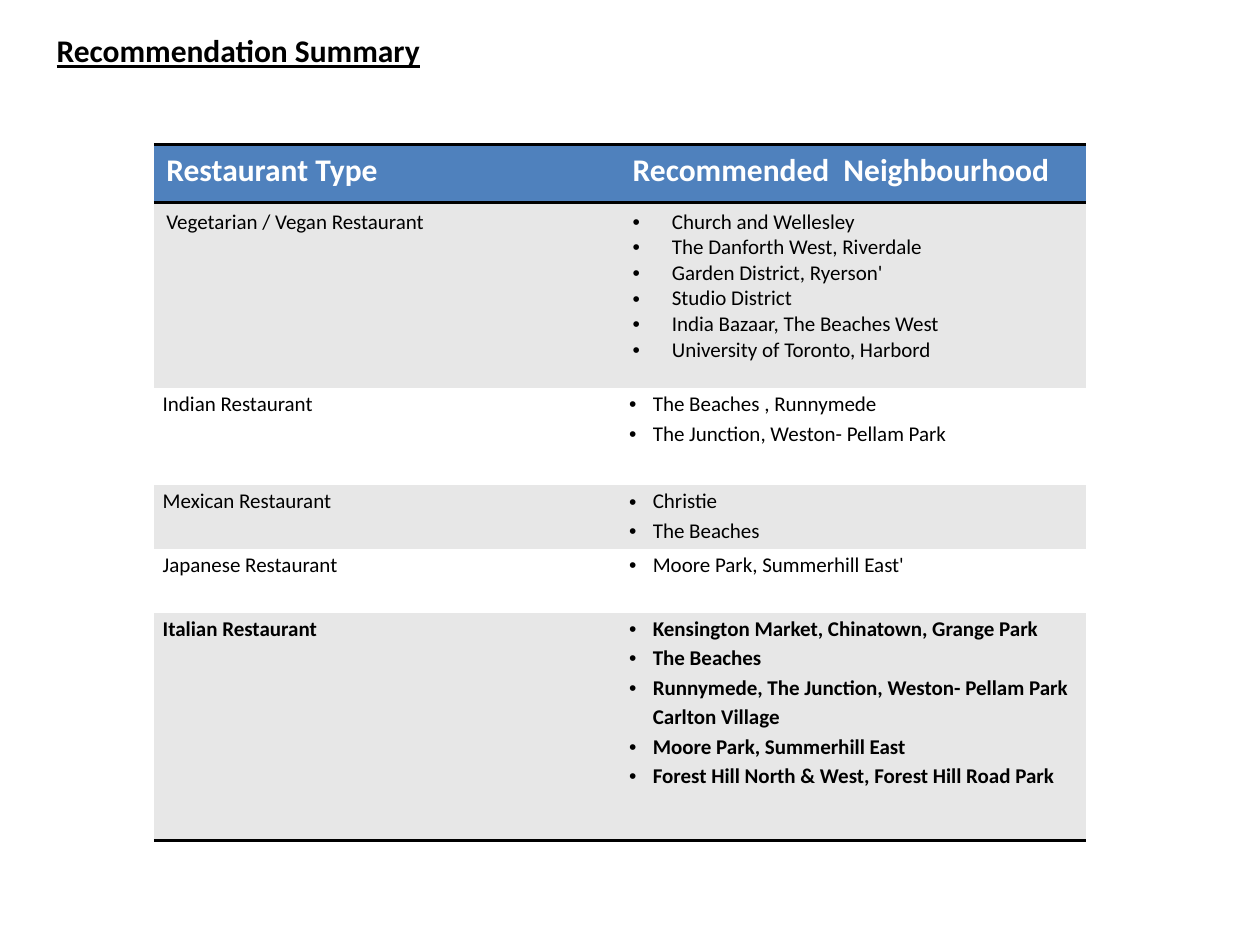
from lxml.etree import SubElement
from pptx import Presentation
from pptx.dml.color import RGBColor
from pptx.oxml.ns import qn
from pptx.util import Cm, Pt

BLACK = RGBColor(0x00, 0x00, 0x00)
WHITE = RGBColor(0xFF, 0xFF, 0xFF)
BLUE = RGBColor(0x4F, 0x81, 0xBD)
GREY = RGBColor(0xE7, 0xE7, 0xE7)
FONT = "Calibri"
NO_STYLE_NO_GRID = "{2D5ABB26-0587-4C30-8999-92F81FD0307C}"

HEADINGS = ("Restaurant Type", "Recommended  Neighbourhood")
HEADING_HEIGHT = Cm(1.17)
RECOMMENDATIONS = [
    ("Vegetarian / Vegan Restaurant", Cm(3.73), [
        "Church and Wellesley",
        "The Danforth West, Riverdale",
        "Garden District, Ryerson'",
        "Studio District",
        "India Bazaar, The Beaches West",
        "University of Toronto, Harbord",
    ]),
    ("Indian Restaurant", Cm(1.96), [
        "The Beaches , Runnymede",
        "The Junction, Weston- Pellam Park",
    ]),
    ("Mexican Restaurant", Cm(1.28), ["Christie", "The Beaches"]),
    ("Japanese Restaurant", Cm(1.29), ["Moore Park, Summerhill East'"]),
    ("Italian Restaurant", Cm(4.6), [
        "Kensington Market, Chinatown, Grange Park",
        "The Beaches",
        "Runnymede, The Junction, Weston- Pellam Park Carlton Village",
        "Moore Park, Summerhill East",
        "Forest Hill North & West, Forest Hill Road Park",
    ]),
]


def add_bullet(para, indent):
    props = para._p.get_or_add_pPr()
    props.set("marL", str(indent))
    props.set("indent", str(-indent))
    SubElement(props, qn("a:buFont"), typeface="Arial")
    SubElement(props, qn("a:buChar"), char="•")


def write_lines(frame, lines, size=12, color=BLACK, bold=False,
                underline=False, spacing=None, bullet_indent=None):
    """Write each line as one paragraph of the text frame."""
    for index, line in enumerate(lines):
        para = frame.paragraphs[0] if index == 0 else frame.add_paragraph()
        if spacing:
            para.line_spacing = spacing
        if bullet_indent:
            add_bullet(para, bullet_indent)
        span = para.add_run()
        span.text = line
        font = span.font
        font.name, font.size, font.bold = FONT, Pt(size), bold
        font.underline = underline
        font.color.rgb = color


def add_borders(cell, *sides):
    """Draw black rules on the given sides, named lnT or lnB; call before the fill."""
    props = cell._tc.get_or_add_tcPr()
    for side in sides:
        line = SubElement(props, qn(f"a:{side}"), w=str(Pt(2)))
        fill = SubElement(line, qn("a:solidFill"))
        SubElement(fill, qn("a:srgbClr"), val=str(BLACK))


def fill_cell(cell, color):
    cell.fill.solid()
    cell.fill.fore_color.rgb = color


def add_title(page, text):
    box = page.shapes.add_textbox(Cm(0.89), Cm(0.51), Cm(12.4), Cm(1.02))
    box.text_frame.word_wrap = True
    write_lines(box.text_frame, [text], size=18, bold=True, underline=True)


def add_plain_table(page, row_heights):
    frame = page.shapes.add_table(len(row_heights), 2, Cm(3.1), Cm(2.92),
                                  Cm(18.8), sum(row_heights))
    table = frame.table
    table.first_row = table.horz_banding = False
    table._tbl.tblPr.find(qn("a:tableStyleId")).text = NO_STYLE_NO_GRID
    for row, height in zip(table.rows, row_heights):
        row.height = height
    return table


def add_recommendations(page):
    heights = [HEADING_HEIGHT] + [height for _, height, _ in RECOMMENDATIONS]
    table = add_plain_table(page, heights)
    for column, heading in enumerate(HEADINGS):
        cell = table.cell(0, column)
        write_lines(cell.text_frame, [heading], size=18, color=WHITE, bold=True)
        add_borders(cell, "lnT", "lnB")
        fill_cell(cell, BLUE)

    last = len(RECOMMENDATIONS)
    for row, (kind, _, places) in enumerate(RECOMMENDATIONS, start=1):
        first = row == 1
        for column, lines in enumerate(([kind], places)):
            cell = table.cell(row, column)
            if not first:
                cell.margin_left = cell.margin_right = Cm(0.18)
                cell.margin_top = cell.margin_bottom = 0
            indent = Cm(0.79) if first else Cm(0.48)
            write_lines(cell.text_frame, lines, bold=row == last,
                        spacing=None if first else 1.15,
                        bullet_indent=indent if column == 1 else None)
            if row == last:
                add_borders(cell, "lnB")
            fill_cell(cell, GREY if row % 2 else WHITE)


def main():
    deck = Presentation()
    deck.slide_width, deck.slide_height = Cm(25.4), Cm(19.05)
    page = deck.slides.add_slide(deck.slide_layouts[6])
    add_recommendations(page)
    add_title(page, "Recommendation Summary")
    deck.save("out.pptx")


if __name__ == "__main__":
    main()
